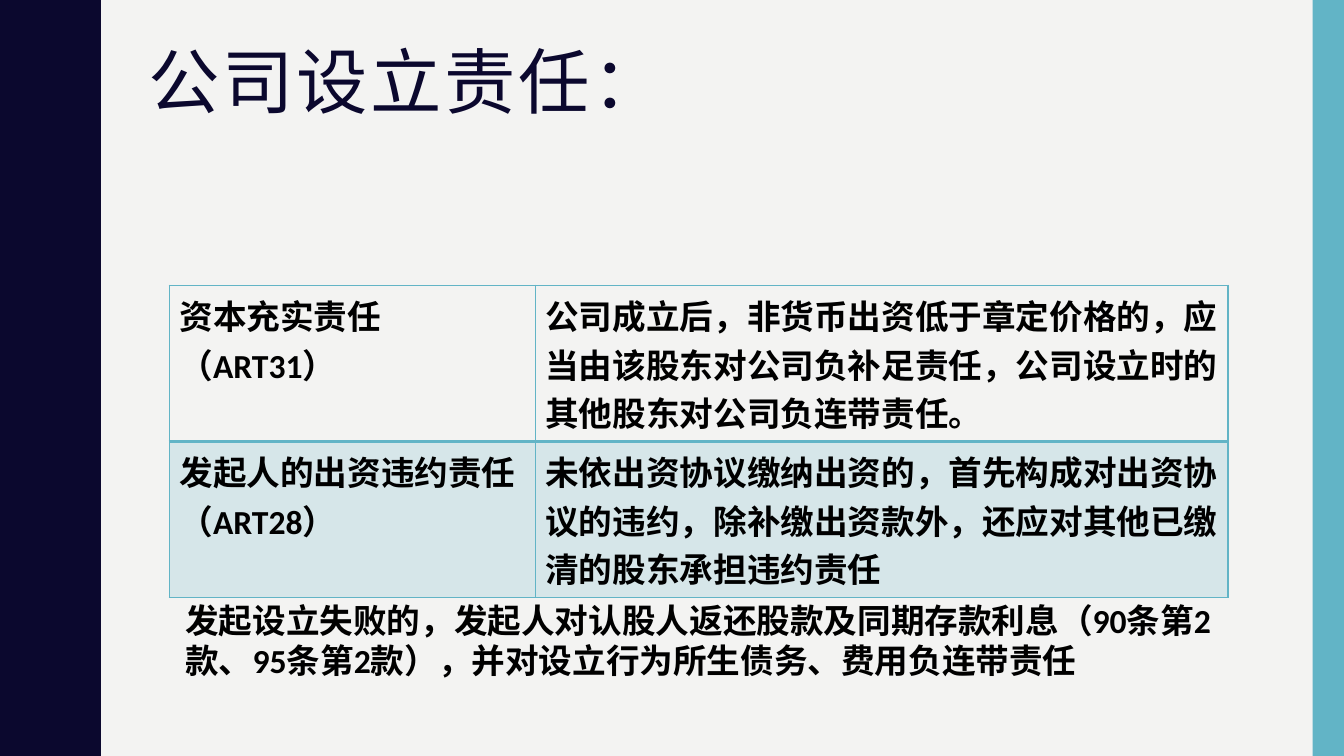
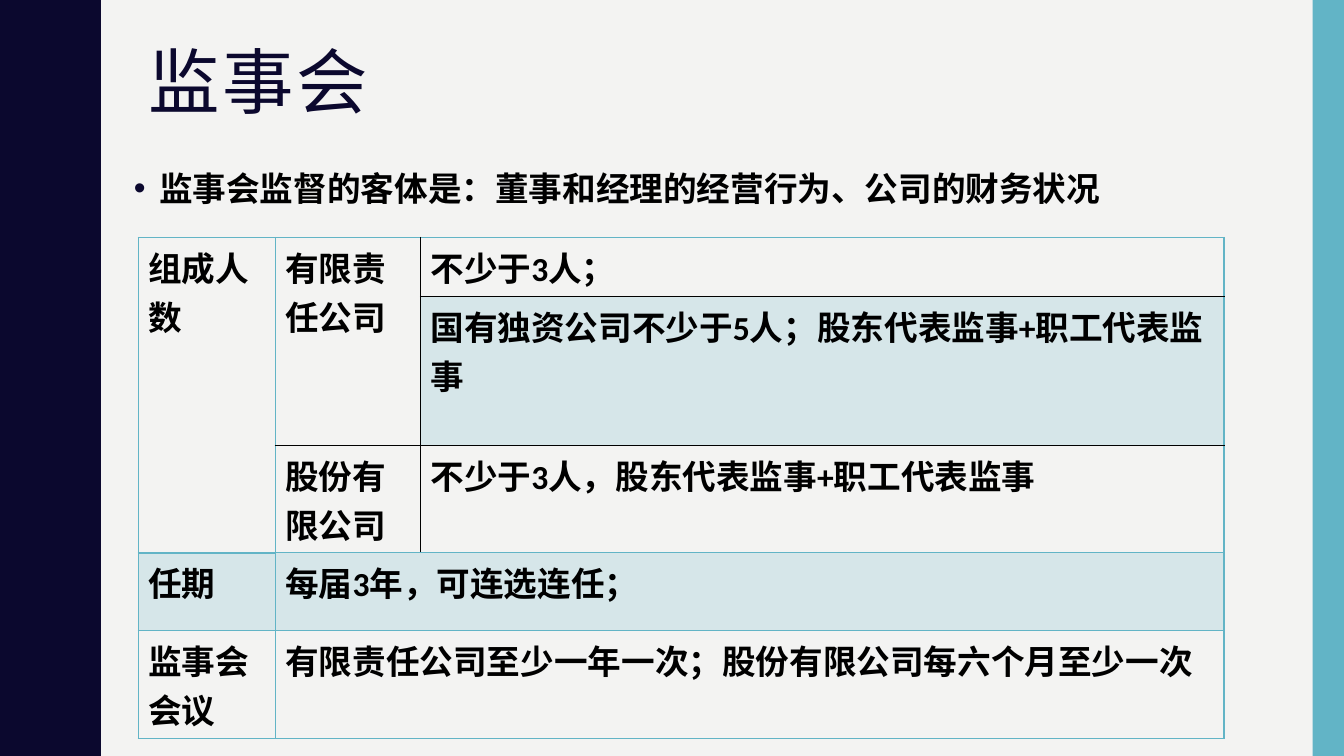
from lxml import etree
from pptx import Presentation
from pptx.dml.color import RGBColor
from pptx.enum.shapes import MSO_SHAPE
from pptx.enum.text import MSO_ANCHOR
from pptx.oxml.ns import qn
from pptx.util import Inches, Pt

RECTANGLE = MSO_SHAPE.RECTANGLE
TOP = MSO_ANCHOR.TOP
WIDTH, HEIGHT = Inches(13.33), Inches(7.5)
PAPER, NAVY, TEAL, BLACK = "F3F3F2", "0B082E", "62B4C6", "000000"
TITLE_FONT, BODY_FONT = "Roboto Condensed", "Calibri"
WAVE_PERIOD, WAVE_COUNT = 1.5, 5
WAVE_RISE = [
    (0, 0.78), (0.07, 0.78), (0.14, 0.79), (0.2, 0.8), (0.25, 0.81),
    (0.29, 0.83), (0.33, 0.85), (0.38, 0.87), (0.42, 0.89), (0.46, 0.91),
    (0.5, 0.93), (0.55, 0.95), (0.61, 0.96), (0.68, 0.97),
]
TEAL_EDGES = {"L": (TEAL, 1), "R": (TEAL, 1), "T": (TEAL, 1), "B": (TEAL, 1)}
THICK_BASE = {**TEAL_EDGES, "B": (TEAL, 2)}


def color(value):
    """Turn a hex string into a colour."""
    return RGBColor.from_string(value)


def across(share):
    """Length as a percentage of the slide width."""
    return round(WIDTH * share / 100)


def down(share):
    """Length as a percentage of the slide height."""
    return round(HEIGHT * share / 100)


def area(left, top, width, height):
    """Place and size from percentages of the slide."""
    return across(left), down(top), across(width), down(height)


def add_xml(parent, tag, **attributes):
    """Append a drawing element."""
    return etree.SubElement(parent, qn(tag), attributes)


def paint(shape, fill):
    """Give a shape a flat fill without line or shadow."""
    shape.shadow.inherit = False
    shape.fill.solid()
    shape.fill.fore_color.rgb = color(fill)
    shape.line.fill.background()


def style(para, size, name, ink, bold=False):
    """Set the font of a paragraph and return its properties."""
    font = para.font
    font.size, font.name, font.bold = Pt(size), name, bold
    font.color.rgb = color(ink)
    return para._p.pPr.find(qn("a:defRPr"))


def add_text(page, place, text, size=24, name=BODY_FONT, ink=BLACK,
             bold=True, line_spacing=1.0, tracking=0, bullet=False):
    """Add a wrapped text box with one paragraph."""
    frame = page.shapes.add_textbox(*area(*place)).text_frame
    frame.word_wrap, frame.vertical_anchor = True, TOP
    para = frame.paragraphs[0]
    para.text, para.line_spacing = text, line_spacing
    if bullet:
        properties = para._p.get_or_add_pPr()
        properties.set("marL", str(Inches(0.25)))
        properties.set("indent", str(-Inches(0.25)))
        add_xml(add_xml(properties, "a:buClr"), "a:srgbClr", val=NAVY)
        add_xml(properties, "a:buFont", typeface="Arial")
        add_xml(properties, "a:buChar", char="•")
    defaults = style(para, size, name, ink, bold)
    add_xml(defaults, "a:ea", typeface=name)
    if tracking:
        defaults.set("spc", str(tracking * 100))


def add_wave(page):
    """Draw the wavy band at the left edge."""
    fall = [(y + WAVE_PERIOD / 2, 1.75 - x) for y, x in WAVE_RISE]
    points = [(x, y + turn * WAVE_PERIOD)
              for turn in range(WAVE_COUNT) for y, x in WAVE_RISE + fall]
    bottom = WAVE_PERIOD * WAVE_COUNT
    builder = page.shapes.build_freeform(0, 0, scale=Inches(1))
    builder.add_line_segments(points + [(0.78, bottom), (0, bottom)])
    paint(builder.convert_to_shape(), NAVY)


def add_page(deck, title):
    """Add a slide with the shared bands and title."""
    page = deck.slides.add_slide(deck.slide_layouts[6])
    page.background.fill.solid()
    page.background.fill.fore_color.rgb = color(PAPER)
    add_wave(page)
    paint(page.shapes.add_shape(RECTANGLE, *area(97.67, 0, 2.33, 100)), TEAL)
    add_text(page, (10.28, 5.6, 83.5, 21.73), title, 51, TITLE_FONT, NAVY,
             bold=False, line_spacing=0.9, tracking=2)
    return page


def set_edges(cell, edges):
    """Draw the four borders of a cell."""
    properties = cell._tc.get_or_add_tcPr()
    for index, (side, (ink, width)) in enumerate(edges.items()):
        line = etree.Element(qn(f"a:ln{side}"), w=str(Pt(width)))
        add_xml(add_xml(line, "a:solidFill"), "a:srgbClr", val=ink)
        properties.insert(index, line)


def fill_cell(cell, tinted):
    """Tint a cell or leave it clear."""
    if not tinted:
        cell.fill.background()
        return
    cell.fill.solid()
    cell.fill.fore_color.rgb = color(TEAL)
    tint = cell._tc.tcPr.find(".//" + qn("a:srgbClr"))
    add_xml(tint, "a:alpha", val="20000")


def add_grid(page, left, top, columns, rows, texts, tinted_rows,
             merges=(), edges=None):
    """Add a table; texts and edges are keyed by row and column."""
    place = area(left, top, sum(columns), sum(rows))
    table = page.shapes.add_table(len(rows), len(columns), *place).table
    table.first_row = table.horz_banding = False
    for column, share in zip(table.columns, columns):
        column.width = across(share)
    for row, share in zip(table.rows, rows):
        row.height = down(share)
    for start, end in merges:
        table.cell(*start).merge(table.cell(*end))
    for row in range(len(rows)):
        for column in range(len(columns)):
            cell, key = table.cell(row, column), (row, column)
            para = cell.text_frame.paragraphs[0]
            para.text = texts.get(key, "")
            style(para, 24, BODY_FONT, BLACK, True)
            fill_cell(cell, row in tinted_rows and key in texts)
            set_edges(cell, (edges or {}).get(key, TEAL_EDGES))


def add_liability_page(deck):
    """Build the slide on liability at formation."""
    page = add_page(deck, "公司设立责任：")
    texts = {
        (0, 0): "资本充实责任（ART31）",
        (0, 1): "公司成立后，非货币出资低于章定价格的，应当由该股东对公司负补足责任，公司设立时的其他股东对公司负连带责任。",
        (1, 0): "发起人的出资违约责任（ART28）",
        (1, 1): "未依出资协议缴纳出资的，首先构成对出资协议的违约，除补缴出资款外，还应对其他已缴清的股东承担违约责任",
    }
    add_grid(page, 12.6, 37.73, [27.23, 51.54], [20.67, 20.67], texts, {1},
             edges={(0, 0): THICK_BASE, (0, 1): THICK_BASE})
    add_text(page, (13.05, 78.67, 77.94, 16.13),
             "发起设立失败的，发起人对认股人返还股款及同期存款利息（90条第2款、95条第2款），并对设立行为所生债务、费用负连带责任")


def add_supervisors_page(deck):
    """Build the slide on the board of supervisors."""
    page = add_page(deck, "监事会")
    add_text(page, (9.23, 21.07, 83.5, 52.4),
             "监事会监督的客体是：董事和经理的经营行为、公司的财务状况",
             line_spacing=1.1, bullet=True)
    texts = {
        (0, 0): "组成人数",
        (0, 1): "有限责任公司",
        (0, 2): "不少于3人；",
        (1, 2): "国有独资公司不少于5人；股东代表监事+职工代表监事",
        (2, 1): "股份有限公司",
        (2, 2): "不少于3人，股东代表监事+职工代表监事",
        (3, 0): "任期",
        (3, 1): "每届3年，可连选连任；",
        (4, 0): "监事会会议",
        (4, 1): "有限责任公司至少一年一次；股份有限公司每六个月至少一次",
    }
    dark = {(0, 1): "RB", (0, 2): "LB", (1, 1): "RB", (1, 2): "LTB",
            (2, 1): "TR", (2, 2): "LT"}
    edges = {key: {**TEAL_EDGES, **{side: (BLACK, 1) for side in sides}}
             for key, sides in dark.items()}
    edges.update({(row, 0): THICK_BASE for row in (0, 2)})
    merges = [((0, 0), (2, 0)), ((0, 1), (1, 1)),
              ((3, 1), (3, 2)), ((4, 1), (4, 2))]
    add_grid(page, 10.28, 31.4, [10.2, 10.8, 59.79],
             [7.8, 19.73, 14.2, 10.3, 14.3], texts, {1, 3}, merges, edges)


def main():
    """Build and save the deck."""
    deck = Presentation()
    deck.slide_width, deck.slide_height = WIDTH, HEIGHT
    add_liability_page(deck)
    add_supervisors_page(deck)
    deck.save("out.pptx")


if __name__ == "__main__":
    main()
